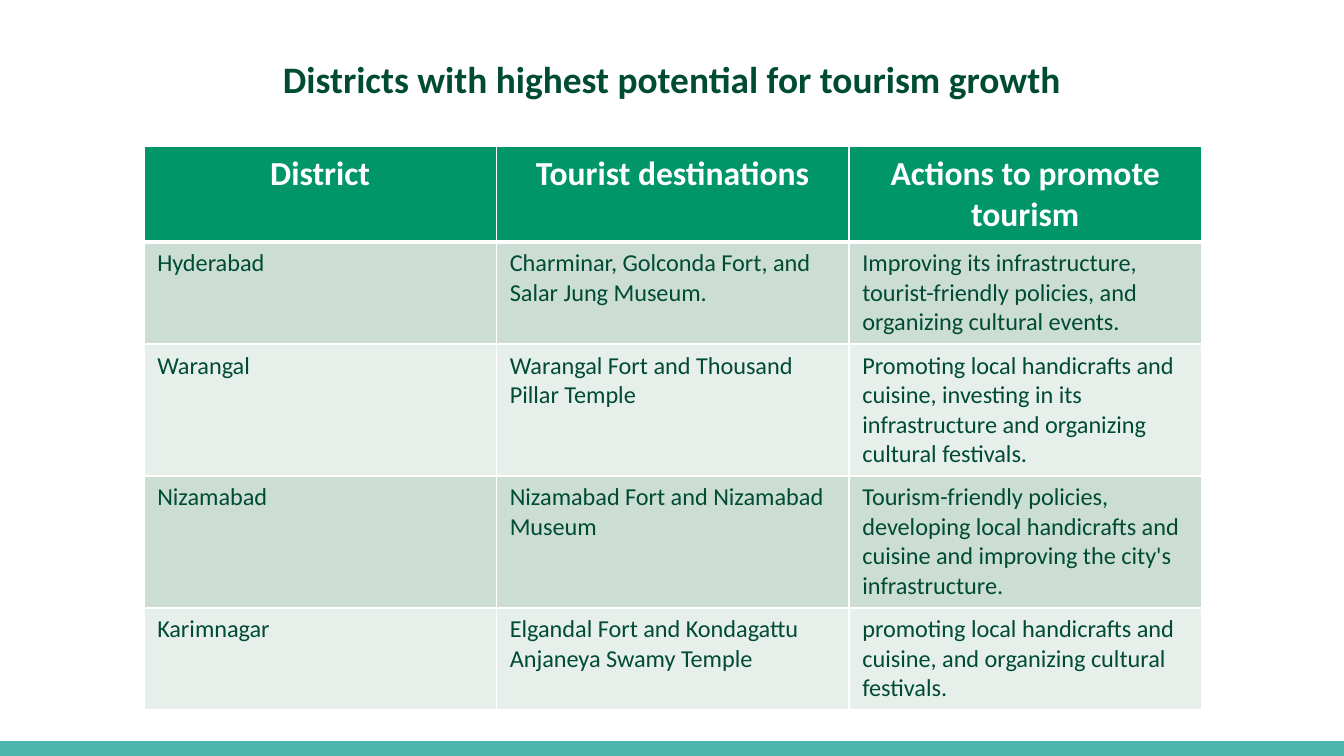
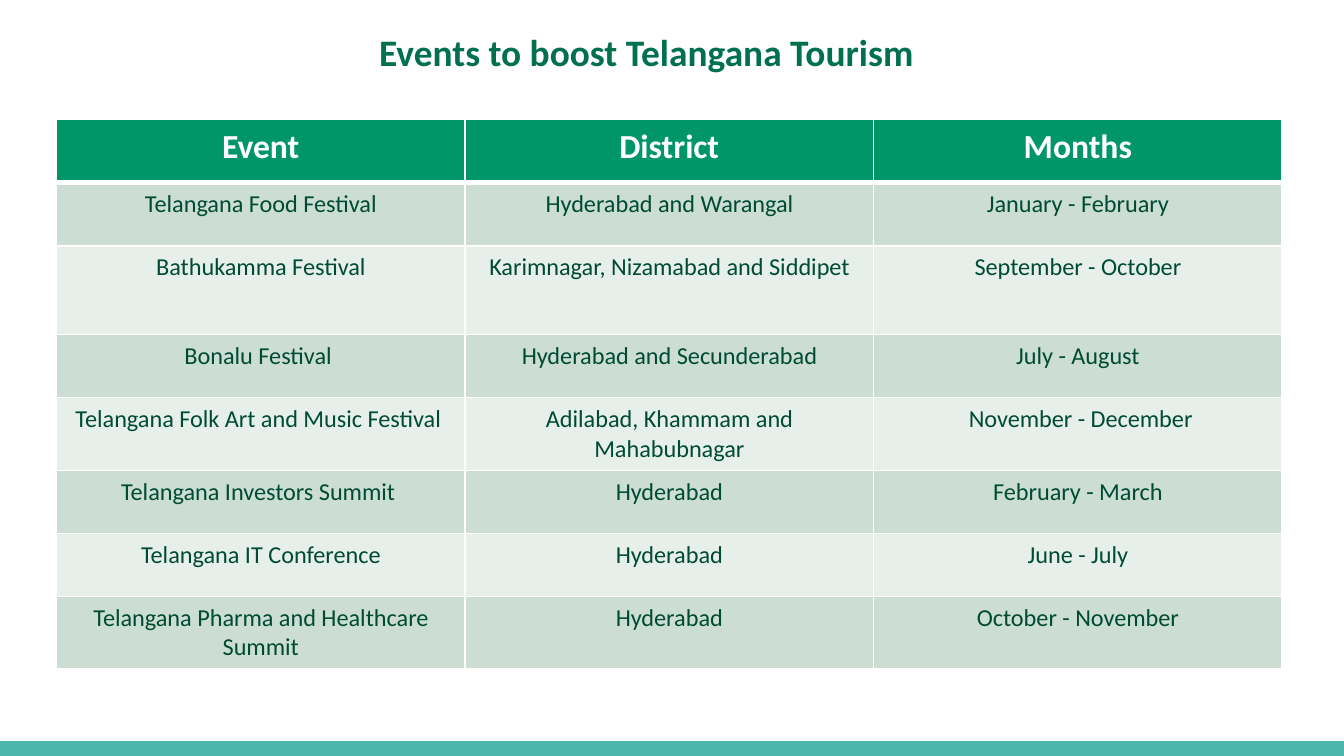
from lxml import etree
from pptx import Presentation, util as u
from pptx.dml import color
from pptx.enum import shapes, text
from pptx.oxml import ns

SLIDE_WIDTH = u.Inches(10)
SLIDE_HEIGHT = u.Inches(10 * 9 / 16)

FONT = "Calibri"
WHITE = "FFFFFF"
DARK_GREEN = "004B34"
EVENT_GREEN = "00704E"
HEADER_GREEN = "009668"
ROW_TINTS = ("CCDDD4", "E7EFEB")
BAND_TEAL = "4DB6AC"

TITLE_FONT = {"name": FONT, "size": u.Pt(20), "bold": True}
HEADER_FONT = {"name": FONT, "size": u.Pt(18), "bold": True}
BODY_FONT = {"name": FONT, "size": u.Pt(13), "bold": False}

CENTER = text.PP_ALIGN.CENTER
LEFT = text.PP_ALIGN.LEFT

DISTRICTS = [
    ("District", "Tourist destinations", "Actions to promote tourism"),
    ("Hyderabad", "Charminar, Golconda Fort, and Salar Jung Museum.",
     "Improving its infrastructure, tourist-friendly policies, "
     "and organizing cultural events."),
    ("Warangal", "Warangal Fort and Thousand Pillar Temple",
     "Promoting local handicrafts and cuisine, investing in its "
     "infrastructure and organizing cultural festivals."),
    ("Nizamabad", "Nizamabad Fort and Nizamabad Museum",
     "Tourism-friendly policies,\ndeveloping local handicrafts and cuisine "
     "and improving the city's infrastructure."),
    ("Karimnagar", "Elgandal Fort and Kondagattu Anjaneya Swamy Temple",
     "promoting local handicrafts and cuisine, "
     "and organizing cultural festivals."),
]

EVENTS = [
    ("Event", "District", "Months"),
    ("Telangana Food Festival", "Hyderabad and Warangal", "January - February"),
    ("Bathukamma Festival", "Karimnagar, Nizamabad and Siddipet",
     "September - October"),
    ("Bonalu Festival ", "Hyderabad and Secunderabad", "July - August"),
    ("Telangana Folk Art and Music Festival ",
     "Adilabad, Khammam and Mahabubnagar", " November - December"),
    ("Telangana Investors Summit ", "Hyderabad", "February - March"),
    ("Telangana IT Conference", "Hyderabad", "June - July"),
    ("Telangana Pharma and Healthcare Summit", "Hyderabad",
     "October - November"),
]


def rgb(value):
    return color.RGBColor.from_string(value)


def apply(target, values):
    for key, value in values.items():
        setattr(target, key, value)


def format_text(frame, font, tint, alignment):
    for paragraph in frame.paragraphs:
        paragraph.alignment = alignment
        for run in paragraph.runs:
            apply(run.font, font)
            run.font.color.rgb = rgb(tint)


def add_title(slide, wording, left, top, tint):
    title = slide.shapes.title
    apply(title, {"left": u.Inches(left), "top": u.Inches(top),
                  "width": u.Inches(9.32), "height": u.Inches(0.77)})
    frame = title.text_frame
    frame.text = wording
    apply(frame, {"word_wrap": True, "auto_size": text.MSO_AUTO_SIZE.NONE,
                  "vertical_anchor": text.MSO_ANCHOR.TOP})
    apply(frame, {f"margin_{side}": u.Inches(0.1)
                  for side in ("left", "top", "right", "bottom")})
    format_text(frame, TITLE_FONT, tint, CENTER)


def add_footer_band(layout, slide):
    height = u.Inches(0.11)
    band = slide.shapes.add_shape(
        shapes.MSO_SHAPE.RECTANGLE,
        u.Inches(0), SLIDE_HEIGHT - height, SLIDE_WIDTH, height)
    band.shadow.inherit = False
    band.fill.solid()
    band.fill.fore_color.rgb = rgb(BAND_TEAL)
    band.line.fill.background()
    layout.shapes.element.append(band.element)


def set_borders(cell, widths):
    properties = cell._tc.get_or_add_tcPr()
    for position, (side, points) in enumerate(widths.items()):
        border = etree.Element(ns.qn(f"a:ln{side}"), w=str(u.Pt(points)))
        fill = etree.SubElement(border, ns.qn("a:solidFill"))
        etree.SubElement(fill, ns.qn("a:srgbClr"), val=WHITE)
        properties.insert(position, border)


def fill_cell(cell, wording, row, body_alignment):
    is_header = row == 0
    cell.text = wording
    cell.fill.solid()
    cell.fill.fore_color.rgb = rgb(
        HEADER_GREEN if is_header else ROW_TINTS[(row - 1) % 2])
    set_borders(cell, {"L": 1, "R": 1, "T": 3 if row == 1 else 1,
                       "B": 3 if is_header else 1})
    if is_header:
        format_text(cell.text_frame, HEADER_FONT, WHITE, CENTER)
    else:
        format_text(cell.text_frame, BODY_FONT, DARK_GREEN, body_alignment)


def add_grid(slide, entries, left, top, width, row_heights, alignment):
    columns = len(entries[0])
    grid = slide.shapes.add_table(
        len(entries), columns, u.Inches(left), u.Inches(top),
        u.Inches(width), u.Inches(sum(row_heights))).table
    for column in grid.columns:
        column.width = u.Inches(width / columns)
    for row, (entry, height) in enumerate(zip(entries, row_heights)):
        grid.rows[row].height = u.Inches(height)
        for column, wording in enumerate(entry):
            fill_cell(grid.cell(row, column), wording, row, alignment)


def main():
    deck = Presentation()
    apply(deck, {"slide_width": SLIDE_WIDTH, "slide_height": SLIDE_HEIGHT})
    title_only = deck.slide_layouts[5]

    districts = deck.slides.add_slide(title_only)
    add_footer_band(title_only, districts)
    add_title(districts, "Districts with highest potential for tourism growth",
              0.34, 0.32, DARK_GREEN)
    add_grid(districts, DISTRICTS, 1.07, 1.09, 7.87,
             [0.44] + [0.65] * 4, LEFT)

    events = deck.slides.add_slide(title_only)
    add_title(events, "Events to boost Telangana Tourism",
              0.15, 0.12, EVENT_GREEN)
    add_grid(events, EVENTS, 0.42, 0.89, 9.12,
             [0.47] * 2 + [0.66] + [0.47] * 5, CENTER)

    deck.save("out.pptx")


if __name__ == "__main__":
    main()
